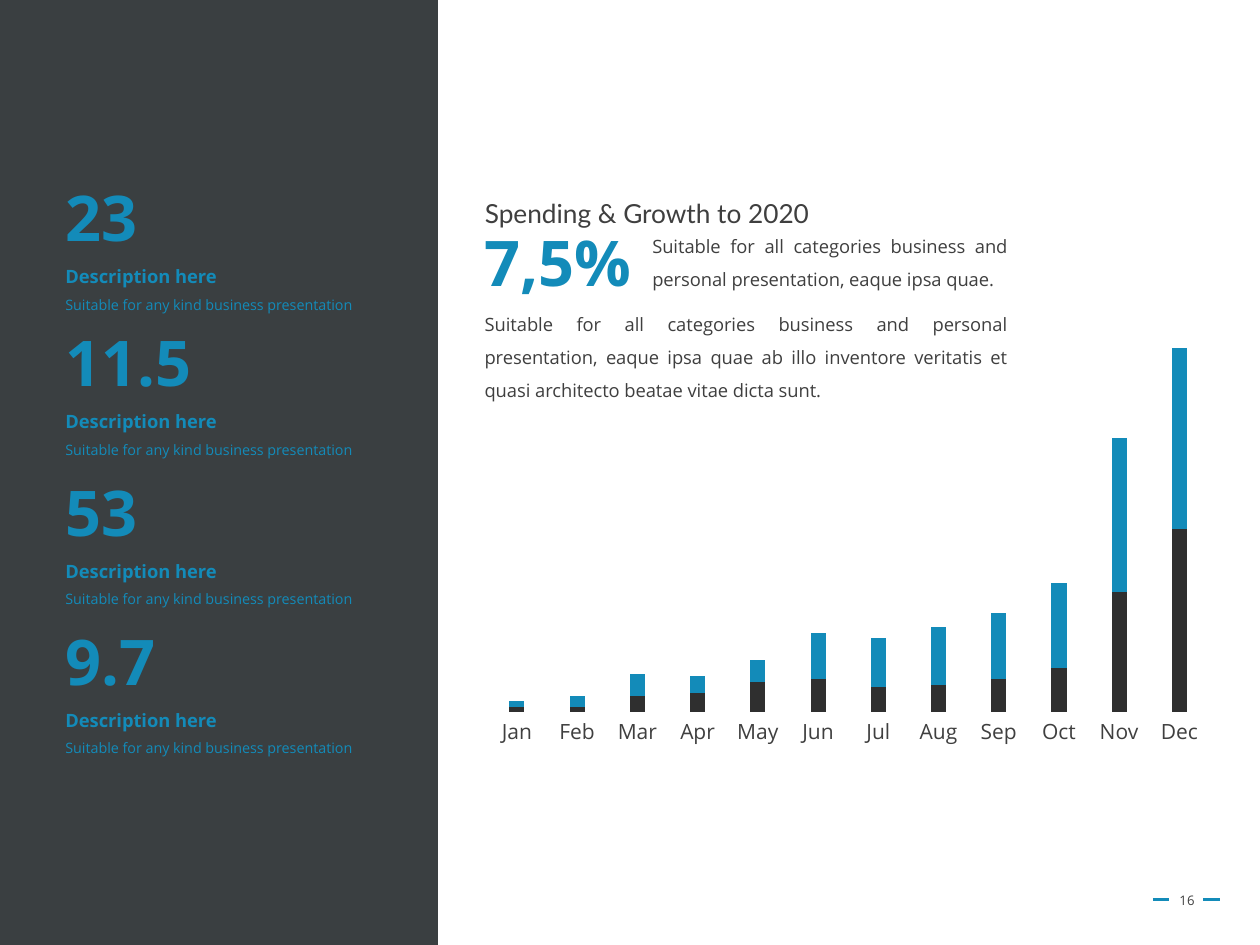
"""Build the spending and growth slide with key figures and a stacked monthly chart."""
from dataclasses import dataclass

from lxml import etree
from pptx import Presentation
from pptx.chart.data import CategoryChartData
from pptx.dml.color import RGBColor
from pptx.enum.chart import XL_CHART_TYPE, XL_TICK_MARK
from pptx.enum.shapes import MSO_CONNECTOR, MSO_SHAPE
from pptx.enum.text import MSO_ANCHOR, MSO_AUTO_SIZE, PP_ALIGN
from pptx.oxml.ns import qn
from pptx.util import Cm, Pt

COLUMN_STACKED = XL_CHART_TYPE.COLUMN_STACKED
NO_TICKS = XL_TICK_MARK.NONE
STRAIGHT = MSO_CONNECTOR.STRAIGHT
RECTANGLE = MSO_SHAPE.RECTANGLE
TOP, MIDDLE = MSO_ANCHOR.TOP, MSO_ANCHOR.MIDDLE
NO_AUTOFIT, GROW = MSO_AUTO_SIZE.NONE, MSO_AUTO_SIZE.SHAPE_TO_FIT_TEXT
LEFT, CENTER, JUSTIFY = PP_ALIGN.LEFT, PP_ALIGN.CENTER, PP_ALIGN.JUSTIFY

BLUE, GRAY, CHARCOAL, PANEL = "138BB9", "3F3F3F", "2F2F2F", "181E20"
BODY_FONT, TITLE_FONT = "Open Sans", "Lato"
MONTHS = "Jan Feb Mar Apr May Jun Jul Aug Sep Oct Nov Dec".split()


@dataclass(frozen=True)
class KeyFigure:
    """A headline number at a given height on the panel."""
    value: str
    top: float


@dataclass(frozen=True)
class Spending:
    """One chart series with its colour."""
    name: str
    color: str
    values: tuple[int, ...]


KEY_FIGURES = (KeyFigure("23", 3.48), KeyFigure("11.5", 6.4),
               KeyFigure("53", 9.42), KeyFigure("9.7", 12.42))
SPENDINGS = (
    Spending("Series 1", CHARCOAL, (2, 2, 6, 7, 11, 12, 9, 10, 12, 16, 44, 67)),
    Spending("Series 2", BLUE, (2, 4, 8, 6, 8, 17, 18, 21, 24, 31, 56, 100)),
)


def rgb(color: str) -> RGBColor:
    """Turn a hex string into a colour."""
    return RGBColor.from_string(color)


def style_font(font, size: float, color: str, bold: bool = False,
               name: str = BODY_FONT) -> None:
    """Apply typeface, size, weight and colour."""
    font.name, font.size, font.bold = name, Pt(size), bold
    font.color.rgb = rgb(color)


def write(frame, text: str, *, size: float, color: str = GRAY, bold: bool = False,
          font: str = BODY_FONT, align=LEFT, spacing: float = 1.0) -> None:
    """Write one formatted paragraph, after any text already present."""
    paragraph = frame.add_paragraph() if frame.text else frame.paragraphs[0]
    paragraph.alignment, paragraph.line_spacing = align, spacing
    run = paragraph.add_run()
    run.text = text
    style_font(run.font, size, color, bold, font)


def place(shape, left: float, top: float, width: float, height: float) -> None:
    """Move and size a shape in centimetres."""
    shape.left, shape.top = Cm(left), Cm(top)
    shape.width, shape.height = Cm(width), Cm(height)


def add_text_frame(slide, left: float, top: float, width: float, height: float,
                   wrap: bool = True, anchor=TOP, fit=GROW):
    """Add a text box and return its frame."""
    frame = slide.shapes.add_textbox(Cm(left), Cm(top), Cm(width), Cm(height)).text_frame
    frame.word_wrap, frame.vertical_anchor, frame.auto_size = wrap, anchor, fit
    return frame


def add_panel(slide) -> None:
    """Draw the translucent dark panel on the left."""
    panel = slide.shapes.add_shape(RECTANGLE, Cm(-0.02), Cm(0), Cm(8.85), Cm(19.05))
    panel.shadow.inherit = False
    panel.fill.solid()
    panel.fill.fore_color.rgb = rgb(PANEL)
    panel.line.fill.background()
    shade = next(panel.fill._xPr.iter(qn("a:srgbClr")))
    etree.SubElement(shade, qn("a:alpha")).set("val", "85000")


def add_page_number(slide) -> None:
    """Draw the page number between two dashes."""
    for left in (23.24, 24.26):
        dash = slide.shapes.add_connector(STRAIGHT, Cm(left), Cm(18.13),
                                          Cm(left + 0.33), Cm(18.13))
        dash.line.color.rgb = rgb(BLUE)
        dash.line.width = Pt(1.75)
        etree.SubElement(dash._element.spPr, qn("a:effectLst"))
    number = add_text_frame(slide, 23.37, 17.63, 1.12, 1.02, anchor=MIDDLE, fit=NO_AUTOFIT)
    write(number, "16", size=7.5, align=CENTER)


def add_key_figure(slide, figure: KeyFigure) -> None:
    """Write one number with its two description lines."""
    frame = add_text_frame(slide, 1.07, figure.top, 6.43, 3, wrap=False)
    write(frame, figure.value, size=36, color=BLUE, bold=True)
    write(frame, "Description here", size=10.5, color=BLUE, bold=True, spacing=1.5)
    write(frame, "Suitable for any kind business presentation",
          size=8.2, color=BLUE, spacing=1.5)


def set_plot_area(chart, **fractions: float) -> None:
    """Fix the inner plot area as fractions of the chart."""
    plot_area = chart._chartSpace.chart.plotArea
    for automatic in plot_area.findall(qn("c:layout")):
        plot_area.remove(automatic)
    layout = etree.Element(qn("c:layout"))
    plot_area.insert(0, layout)
    manual = etree.SubElement(layout, qn("c:manualLayout"))
    settings = {"layoutTarget": "inner", "xMode": "edge", "yMode": "edge", **fractions}
    for tag, value in settings.items():
        etree.SubElement(manual, qn(f"c:{tag}")).set("val", str(value))


def add_spending_chart(slide) -> None:
    """Draw the stacked monthly columns."""
    data = CategoryChartData()
    data.categories = MONTHS
    for spending in SPENDINGS:
        data.add_series(spending.name, spending.values)
    chart = slide.shapes.add_chart(COLUMN_STACKED, Cm(8.71), Cm(5.74),
                                   Cm(15.77), Cm(10.21), data).chart
    chart.has_legend = chart.has_title = False
    style_font(chart.font, 12, GRAY)
    months, amounts = chart.category_axis, chart.value_axis
    months.major_tick_mark = months.minor_tick_mark = NO_TICKS
    months.format.line.fill.background()
    style_font(months.tick_labels.font, 12, GRAY)
    amounts.minimum_scale, amounts.maximum_scale = 0, 133
    amounts.has_major_gridlines = amounts.visible = False
    columns = chart.plots[0]
    columns.gap_width, columns.overlap, columns.vary_by_categories = 300, 100, False
    for series, spending in zip(columns.series, SPENDINGS):
        series.format.fill.solid()
        series.format.fill.fore_color.rgb = rgb(spending.color)
    set_plot_area(chart, x=0.07, y=0.125, w=0.924, h=0.719)


def add_growth_text(slide) -> None:
    """Write the heading, the growth rate and its explanations."""
    heading = slide.shapes.title
    place(heading, 9.52, 3.53, 10.9, 1.22)
    frame = heading.text_frame
    frame.word_wrap, frame.vertical_anchor, frame.auto_size = True, TOP, GROW
    write(frame, "Spending & Growth to 2020", size=15, font=TITLE_FONT,
          align=JUSTIFY, spacing=1.5)
    rate = add_text_frame(slide, 9.52, 4.39, 3.5, 1.8, wrap=False)
    write(rate, "7,5%", size=36, color=BLUE, bold=True)
    summary = add_text_frame(slide, 12.9, 4.39, 7.67, 1.6)
    write(summary, "Suitable for all categories business and personal presentation, "
          "eaque ipsa quae.", size=10.5, align=JUSTIFY, spacing=1.5)
    details = add_text_frame(slide, 9.52, 5.97, 11.05, 2.29)
    write(details, "Suitable for all categories business and personal presentation, "
          "eaque ipsa quae ab illo inventore veritatis et quasi architecto beatae "
          "vitae dicta sunt.", size=10.5, align=JUSTIFY, spacing=1.5)


def main() -> None:
    """Assemble and save the slide."""
    deck = Presentation()
    deck.slide_width, deck.slide_height = Cm(25.4), Cm(19.05)
    slide = deck.slides.add_slide(deck.slide_layouts.get_by_name("Title Only"))
    add_page_number(slide)
    add_panel(slide)
    add_spending_chart(slide)
    for figure in KEY_FIGURES:
        add_key_figure(slide, figure)
    add_growth_text(slide)
    deck.save("out.pptx")


main()
